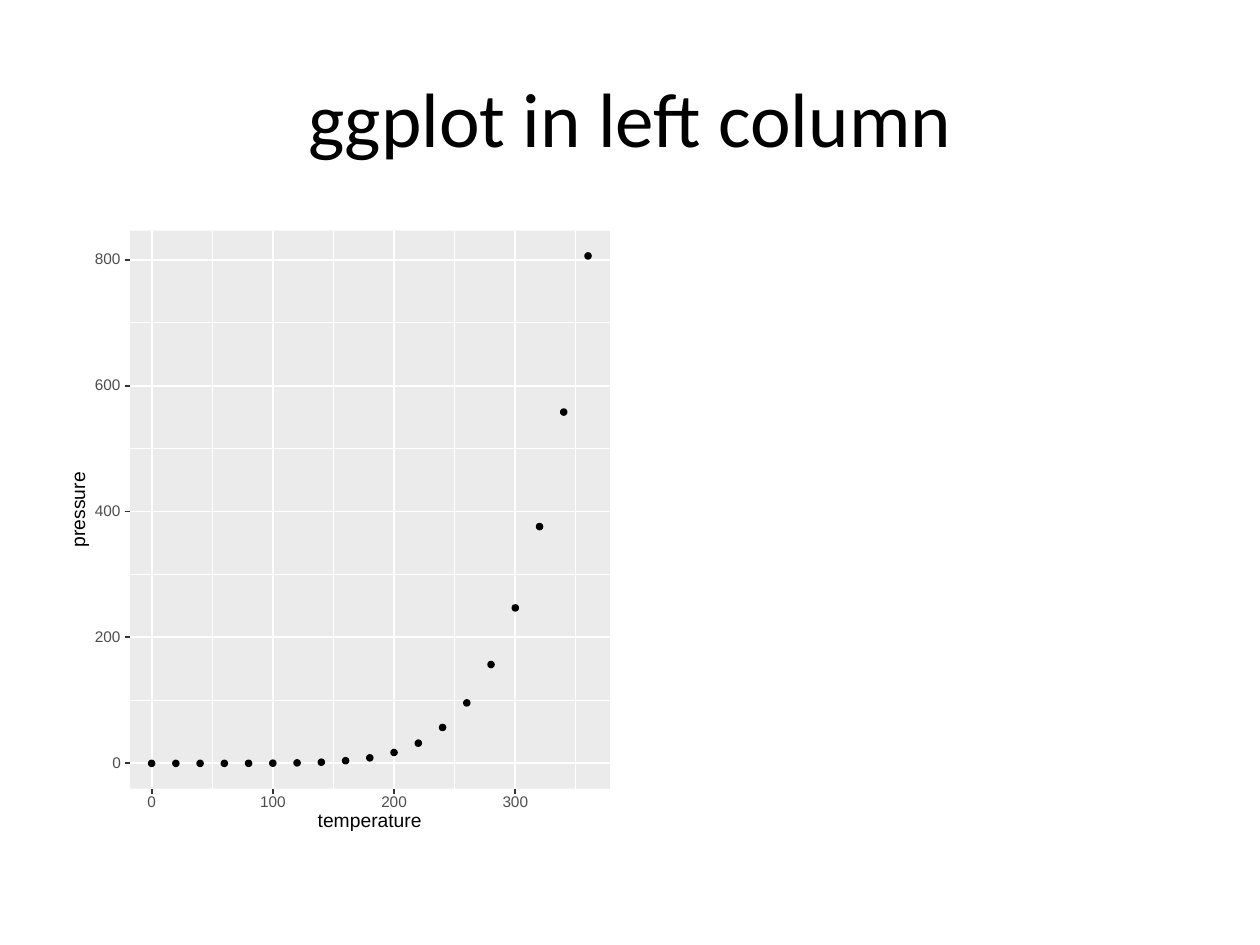
from lxml import etree
from pptx import Presentation
from pptx.dml.color import RGBColor
from pptx.enum.shapes import MSO_CONNECTOR, MSO_SHAPE
from pptx.enum.text import MSO_ANCHOR, PP_ALIGN
from pptx.oxml.ns import qn
from pptx.util import Inches, Pt

RECT, OVAL, STRAIGHT = MSO_SHAPE.RECTANGLE, MSO_SHAPE.OVAL, MSO_CONNECTOR.STRAIGHT
CENTER, MIDDLE = PP_ALIGN.CENTER, MSO_ANCHOR.MIDDLE
COLORS = {k: RGBColor.from_string(v) for k, v in {
    "white": "FFFFFF", "panel": "EBEBEB", "black": "000000",
    "tick": "333333", "label": "4D4D4D"}.items()}

prs = Presentation()
prs.slide_width, prs.slide_height = Inches(10), Inches(7.5)
slide = prs.slides.add_slide(prs.slide_layouts[5])


def add_text(shapes, text, cx, cy, w, size=8.8, color="label", rotation=0):
    """Add a line of text centred on a point."""
    h = size / 72 * 0.75
    sp = shapes.add_textbox(Inches(cx - w / 2), Inches(cy - h / 2), Inches(w), Inches(h))
    sp.rotation = rotation
    tf = sp.text_frame
    tf.margin_left = tf.margin_right = tf.margin_top = tf.margin_bottom = 0
    tf.word_wrap = False
    tf.vertical_anchor = MIDDLE
    p = tf.paragraphs[0]
    p.alignment = CENTER
    p.line_spacing = Pt(size)
    r = p.add_run()
    r.text = text
    r.font.name, r.font.size = "Arial", Pt(size)
    r.font.color.rgb = COLORS[color]


def add_line(shapes, x1, y1, x2, y2, color="white", width=1.07):
    line = shapes.add_connector(STRAIGHT, *map(Inches, (x1, y1, x2, y2)))
    line.line.color.rgb = COLORS[color]
    line.line.width = Pt(width)
    etree.SubElement(line._element.spPr, qn("a:effectLst"))


# Title
title = slide.shapes.title
title.left, title.top, title.width, title.height = map(Inches, (0.5, 0.3, 9, 1.25))
title.text_frame.vertical_anchor = MIDDLE
p = title.text_frame.paragraphs[0]
p.alignment = CENTER
r = p.add_run()
r.text = "ggplot in left column"
r.font.name, r.font.size = "Calibri", Pt(44)
r.font.color.rgb = COLORS["black"]

# Data and scales: the panel extends 5% beyond the data on each side
pressures = [0, 0, 0.01, 0.03, 0.09, 0.27, 0.75, 1.85, 4.2, 8.8, 17.3, 32.1,
             57, 96, 157, 247, 376, 558, 806]
temperatures = [20 * i for i in range(len(pressures))]
left, top, width, height = 1.03, 1.83, 3.81, 4.43
right, bottom = left + width, top + height
x_unit = width / (max(temperatures) * 1.1)
y_unit = height / (max(pressures) * 1.1)
x_zero = left + 0.05 * max(temperatures) * x_unit
y_zero = bottom - 0.05 * max(pressures) * y_unit
x_ticks, y_ticks = range(0, 301, 100), range(0, 801, 200)
tick = 0.04

# Plot background and panel
plot = slide.shapes.add_group_shape().shapes
for box, color in (((0.5, 1.75, 4.42, 4.95), "white"),
                   ((left, top, width, height), "panel")):
    sp = plot.add_shape(RECT, *map(Inches, box))
    sp.shadow.inherit = False
    sp.fill.solid()
    sp.fill.fore_color.rgb = COLORS[color]
    sp.line.fill.background()

# Grid: minor lines halfway between the major ones
for x_values, y_values, weight in ((range(50, 351, 100), range(100, 701, 200), 0.53),
                                   (x_ticks, y_ticks, 1.07)):
    for value in y_values:
        y = y_zero - value * y_unit
        add_line(plot, left, y, right, y, width=weight)
    for value in x_values:
        x = x_zero + value * x_unit
        add_line(plot, x, bottom, x, top, width=weight)

# Points
dot = 0.05
for t, pressure in zip(temperatures, pressures):
    x, y = x_zero + t * x_unit, y_zero - pressure * y_unit
    sp = plot.add_shape(OVAL, *map(Inches, (x - dot / 2, y - dot / 2, dot, dot)))
    sp.shadow.inherit = False
    sp.fill.solid()
    sp.fill.fore_color.rgb = COLORS["black"]
    sp.line.color.rgb = COLORS["black"]
    sp.line.width = Pt(0.71)

# Tick marks and labels
digit = 0.07
for value in y_ticks:
    y, w = y_zero - value * y_unit, digit * len(str(value))
    add_line(plot, left - tick, y, left, y, color="tick")
    add_text(plot, str(value), 0.96 - w / 2, y, w)
for value in x_ticks:
    x = x_zero + value * x_unit
    add_line(plot, x, bottom + tick, x, bottom, color="tick")
    add_text(plot, str(value), x, 6.37, digit * len(str(value)))

# Axis titles
add_text(plot, "temperature", left + width / 2, 6.52, 0.86, size=11, color="black")
add_text(plot, "pressure", 0.63, top + height / 2, 0.64, size=11, color="black", rotation=270)

prs.save("out.pptx")
